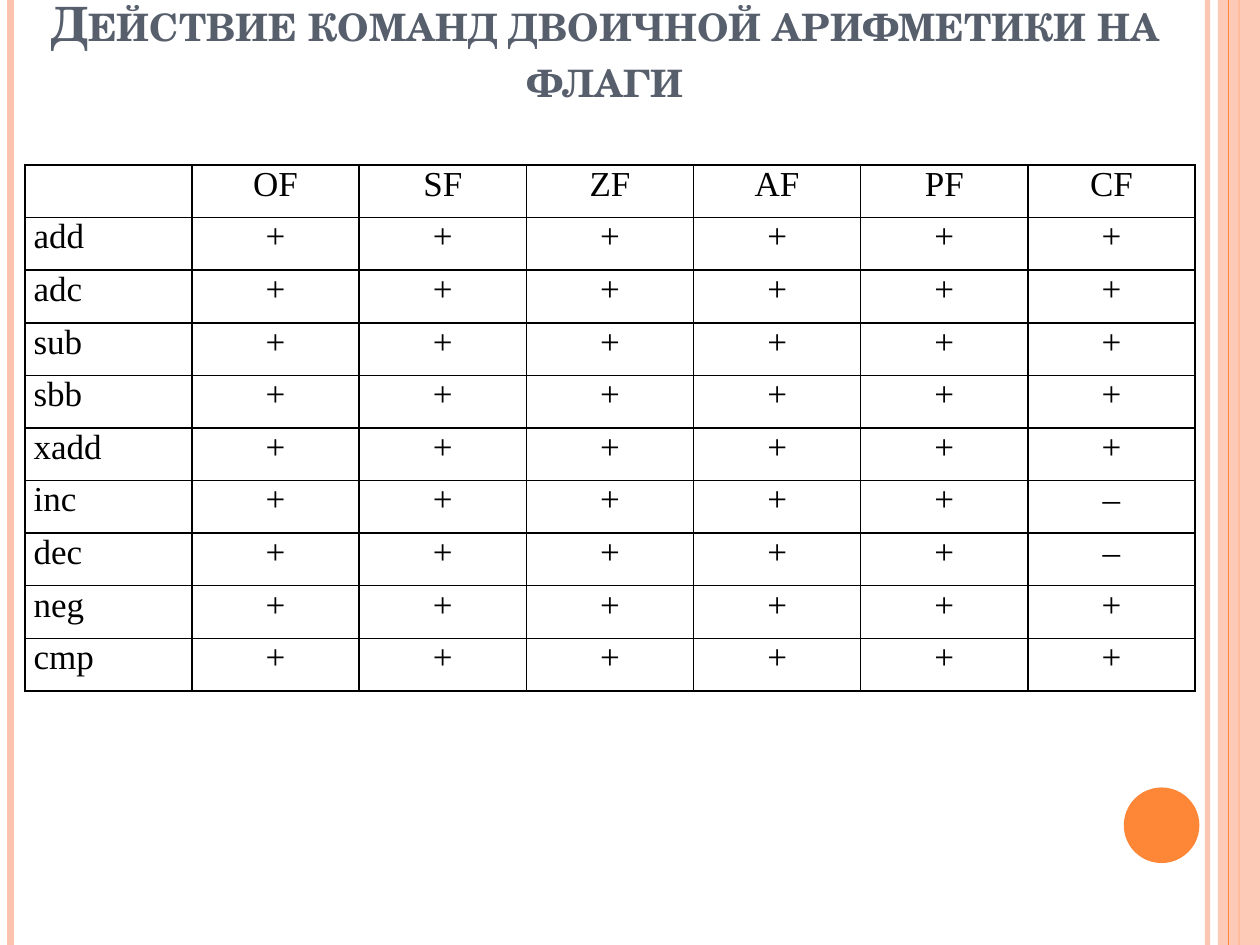
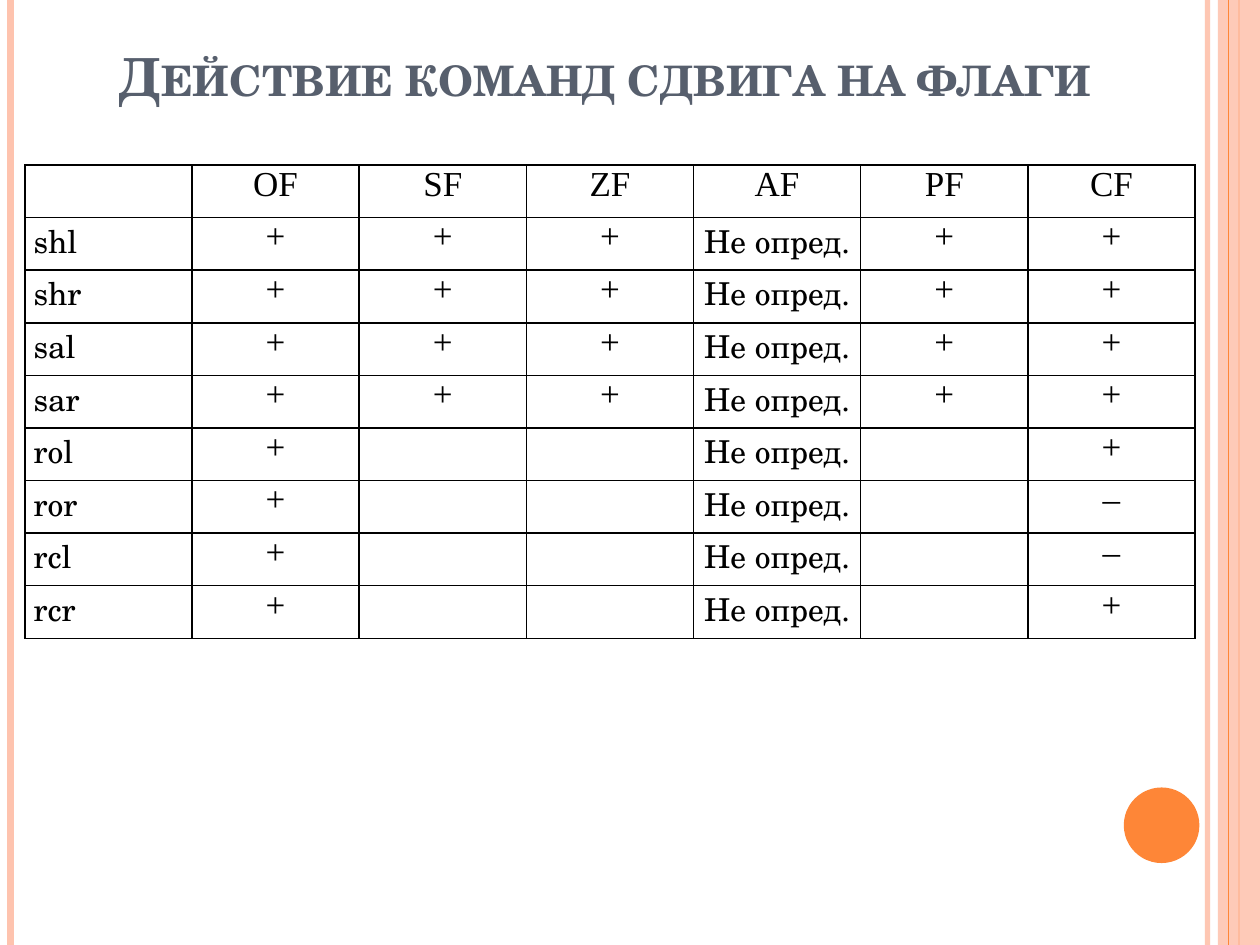
import pptx
import pptx.util
import pptx.dml.color
import pptx.enum.shapes
import pptx.enum.text
import pptx.oxml
import pptx.oxml.ns
from lxml import etree

Pt = pptx.util.Pt
qn = pptx.oxml.ns.qn
ALIGN = pptx.enum.text.PP_ALIGN
PINK, ORANGE, SLATE, BLACK = "FEC3AE", "FE8637", "575F6D", "000000"
SERIF, SCHOLA = "Times New Roman", "TeX Gyre Schola"
W, H = 720, 540


def paint(fmt, color, alpha=100):
    """Solid colour for a font, or for a fill, with optional opacity in percent."""
    if hasattr(fmt, "solid"):
        fmt.solid()
        fmt.fore_color.rgb = pptx.dml.color.RGBColor.from_string(color)
        if alpha < 100:
            clr = fmt._xPr.find(".//" + qn("a:srgbClr"))
            etree.SubElement(clr, qn("a:alpha"), val=str(alpha * 1000))
    else:
        fmt.color.rgb = pptx.dml.color.RGBColor.from_string(color)


def add_run(p, text, size, font, color):
    r = p.add_run()
    r.text = text
    r.font.size = Pt(size)
    r.font.name = font
    paint(r.font, color)
    return r


prs = pptx.Presentation()
prs.slide_width, prs.slide_height = Pt(W), Pt(H)
layout = prs.slide_layouts[5]

# Keep only the title on the layout
for ph in list(layout.placeholders):
    if ph.placeholder_format.idx != 0:
        ph.element.getparent().remove(ph.element)

# Content of the slides: title, title size, name font and size, rows
UNDEF = "Не опред."
PLUS = ["+"] * 6
PLUS_NO_CF = ["+"] * 5 + ["–"]
SHIFT = ["+", "+", "+", UNDEF, "+", "+"]
ROTATE = ["+", "", "", UNDEF, "", "+"]
ROTATE_NO_CF = ROTATE[:5] + ["–"]
FLAGS = ["", "OF", "SF", "ZF", "AF", "PF", "CF"]
pages = [
    ("Действие команд двоичной арифметики на флаги", 27, SERIF, 20, {
        "add": PLUS, "adc": PLUS, "sub": PLUS, "sbb": PLUS, "xadd": PLUS,
        "inc": PLUS_NO_CF, "dec": PLUS_NO_CF, "neg": PLUS, "cmp": PLUS}),
    ("Действие команд сдвига на флаги", 30, SCHOLA, 18, {
        "shl": SHIFT, "shr": SHIFT, "sal": SHIFT, "sar": SHIFT, "rol": ROTATE,
        "ror": ROTATE_NO_CF, "rcl": ROTATE_NO_CF, "rcr": ROTATE}),
]
slides = [prs.slides.add_slide(layout) for page in pages]

# Shared decoration: drawn once, then moved to the layout
shapes = slides[0].shapes
decor = []
for x, color, width, alpha in [(690, PINK, 3, 93), (6, PINK, 4.5, 100),
                               (708, ORANGE, 1.5, 100), (702, ORANGE, 0.75, 100)]:
    line = shapes.add_connector(pptx.enum.shapes.MSO_CONNECTOR.STRAIGHT,
                                Pt(x), Pt(0), Pt(x), Pt(H))
    line.line.width = Pt(width)
    paint(line.line.fill, color, alpha)
    etree.SubElement(line.element.spPr, qn("a:effectLst"))
    decor.append(line)

SHAPE = pptx.enum.shapes.MSO_SHAPE
for kind, x, y, w, h, color, alpha in [(SHAPE.RECTANGLE, 696, 0, 24, H, PINK, 87),
                                       (SHAPE.OVAL, 642.2, 450, 43.2, 43.2, ORANGE, 100)]:
    sp = shapes.add_shape(kind, Pt(x), Pt(y), Pt(w), Pt(h))
    paint(sp.fill, color, alpha)
    sp.line.fill.background()
    sp.shadow.inherit = False
    decor.append(sp)

decor.insert(3, decor.pop(4))  # the band lies under the thin orange line
for sp in decor:
    layout.shapes.element.append(sp.element)

# Titles and flag tables
COL_W, ROW_H = 95.55, 30.05
for s, (title, title_size, name_font, name_size, commands) in zip(slides, pages):
    sp = s.shapes.title
    sp.left, sp.top, sp.width, sp.height = Pt(8.6), Pt(15), Pt(674.6), Pt(50)
    tf = sp.text_frame
    tf.auto_size = pptx.enum.text.MSO_AUTO_SIZE.NONE
    tf.word_wrap = True
    tf.vertical_anchor = pptx.enum.text.MSO_ANCHOR.BOTTOM
    p = tf.paragraphs[0]
    p.alignment = ALIGN.CENTER
    r = add_run(p, title, title_size, SCHOLA, SLATE)
    r.font.bold = True
    r.font._element.set("cap", "small")

    rows = [FLAGS] + [[name] + marks for name, marks in commands.items()]
    table = s.shapes.add_table(len(rows), len(FLAGS), Pt(14.2), Pt(94.3),
                               Pt(COL_W * len(FLAGS)), Pt(ROW_H * len(rows))).table
    table.first_row = table.horz_banding = False
    for col in table.columns:
        col.width = Pt(COL_W)
    for i, row in enumerate(rows):
        table.rows[i].height = Pt(ROW_H)
        for j, text in enumerate(row):
            cell = table.cell(i, j)
            cell.margin_left = cell.margin_right = Pt(5)
            cell.margin_top = cell.margin_bottom = Pt(0)
            tcPr = cell._tc.get_or_add_tcPr()
            for side in "LRTB":
                ln = etree.SubElement(tcPr, qn("a:ln" + side), w=str(Pt(1)))
                fill = etree.SubElement(ln, qn("a:solidFill"))
                etree.SubElement(fill, qn("a:srgbClr"), val=BLACK)
            cell.fill.background()
            p = cell.text_frame.paragraphs[0]
            p.alignment = ALIGN.CENTER if j else ALIGN.JUSTIFY
            if text == "xadd" or text == "rol":
                p.alignment = ALIGN.LEFT
            if text:
                is_name = i > 0 and j == 0
                font, size = (name_font, name_size) if is_name else (SERIF, 20)
                if text == UNDEF:
                    font, size = SCHOLA, 18
                add_run(p, text, size, font, BLACK)

prs.save("out.pptx")
